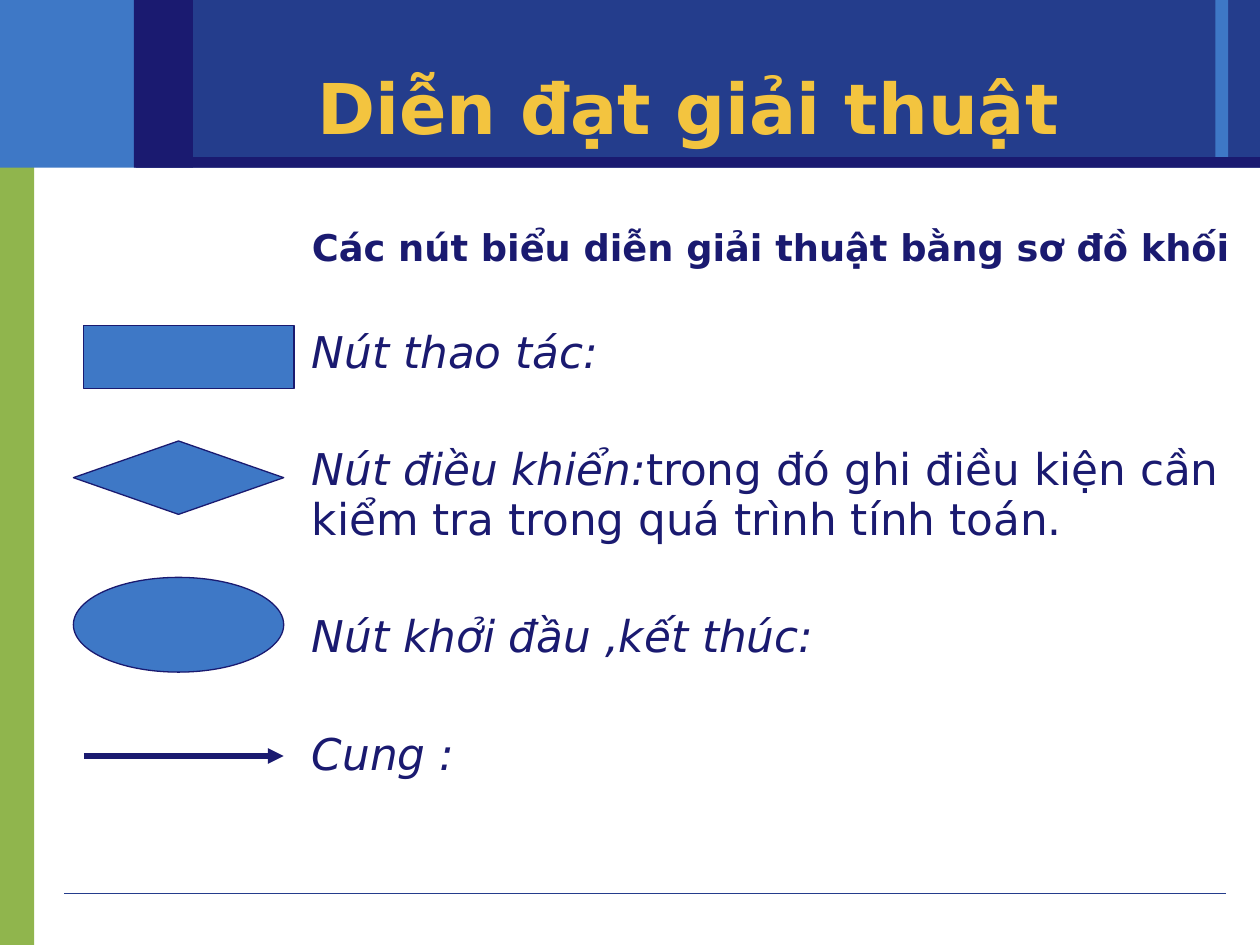
from lxml import etree
from pptx import Presentation
from pptx.dml.color import RGBColor
from pptx.enum.shapes import MSO_CONNECTOR, MSO_SHAPE as Preset
from pptx.enum.text import MSO_ANCHOR as Anchor, PP_ALIGN as Align
from pptx.oxml.ns import qn
from pptx.util import Cm, Pt

FONT = "DejaVu Sans"
NAVY, ROYAL, SKY, GREEN, GOLD = "1A1A70", "243D8C", "3E78C6", "90B54D", "F3C43F"


def paint(color_format, color):
    color_format.rgb = RGBColor.from_string(color)


def draw_line(start, end, color, width):
    """Add a straight connector without shadow and return its a:ln element."""
    connector = slide.shapes.add_connector(
        MSO_CONNECTOR.STRAIGHT, *map(Cm, start + end))
    paint(connector.line.color, color)
    connector.line.width = Pt(width)
    properties = connector.element.spPr
    etree.SubElement(properties, qn("a:effectLst"))
    return properties.find(qn("a:ln"))


prs = Presentation()
prs.slide_width, prs.slide_height = Cm(25.4), Cm(19.05)
slide = prs.slides.add_slide(prs.slide_layouts[5])

# Frame bands and flowchart symbols, from back to front
figures = [
    (Preset.RECTANGLE, 0, 2.7, 0.69, 16.35, GREEN, None),
    (Preset.RECTANGLE, 0, 0, 3.89, 3.38, SKY, None),
    (Preset.RECTANGLE, 3.89, 0, 21.51, 3.38, ROYAL, None),
    (Preset.RECTANGLE, 24.5, 0, 0.26, 3.17, SKY, None),
    (Preset.RECTANGLE, 2.74, 3.17, 22.66, 0.21, NAVY, None),
    (Preset.RECTANGLE, 2.7, 0, 1.19, 3.38, NAVY, None),
    (Preset.RECTANGLE, 1.69, 6.56, 4.24, 1.27, SKY, NAVY),
    (Preset.FLOWCHART_DECISION, 1.48, 8.89, 4.24, 1.48, SKY, NAVY),
    (Preset.OVAL, 1.48, 11.64, 4.24, 1.91, SKY, NAVY),
]
for preset, left, top, width, height, fill, outline in figures:
    figure = slide.shapes.add_shape(preset, *map(Cm, (left, top, width, height)))
    figure.shadow.inherit = False
    figure.fill.solid()
    paint(figure.fill.fore_color, fill)
    if outline:
        paint(figure.line.color, outline)
        figure.line.width = Pt(0.75)
    else:
        figure.line.fill.background()

draw_line((1.3, 18.01), (24.71, 18.01), ROYAL, 0.25)
arc = draw_line((1.69, 15.24), (5.72, 15.24), NAVY, 3)
etree.SubElement(arc, qn("a:tailEnd"), type="triangle")

# Title, brought in front of the header bands
title = slide.shapes.title
title.left, title.top, title.width, title.height = map(Cm, (3.81, 1.3, 20.12, 1.68))
title.text_frame.text = "Diễn đạt giải thuật"
title.text_frame.vertical_anchor = Anchor.MIDDLE
heading = title.text_frame.paragraphs[0]
heading.alignment = Align.CENTER
for attribute, value in {"name": FONT, "size": Pt(40), "bold": True}.items():
    setattr(heading.font, attribute, value)
paint(heading.font.color, GOLD)
title.element.getparent().append(title.element)

# Explanations: space before, then runs of text, size, bold, italic
explanations = [
    (0, [("Các nút biểu diễn giải thuật bằng sơ đồ khối", 21, True, False)]),
    (33.5, [("Nút thao tác:", 25, False, True)]),
    (38.5, [("Nút điều khiển:", 25, False, True),
            ("trong đó ghi điều kiện cần kiểm tra trong quá trình tính toán.",
             25, False, False)]),
    (38.5, [("Nút khởi đầu ,kết thúc:", 25, False, True)]),
    (38.5, [("Cung :", 25, False, True)]),
]
legend = slide.shapes.add_textbox(*map(Cm, (6.29, 4.6, 18.65, 11.8))).text_frame
frame_format = {"word_wrap": True, "margin_left": 0, "margin_right": 0,
                "margin_top": 0, "margin_bottom": 0}
for attribute, value in frame_format.items():
    setattr(legend, attribute, value)
for index, (gap, pieces) in enumerate(explanations):
    paragraph = legend.add_paragraph() if index else legend.paragraphs[0]
    paragraph.line_spacing = 0.95
    if gap:
        paragraph.space_before = Pt(gap)
    for text, size, bold, italic in pieces:
        run = paragraph.add_run()
        run.text = text
        run_format = {"name": FONT, "size": Pt(size), "bold": bold, "italic": italic}
        for attribute, value in run_format.items():
            setattr(run.font, attribute, value)
        paint(run.font.color, NAVY)

prs.save("out.pptx")
